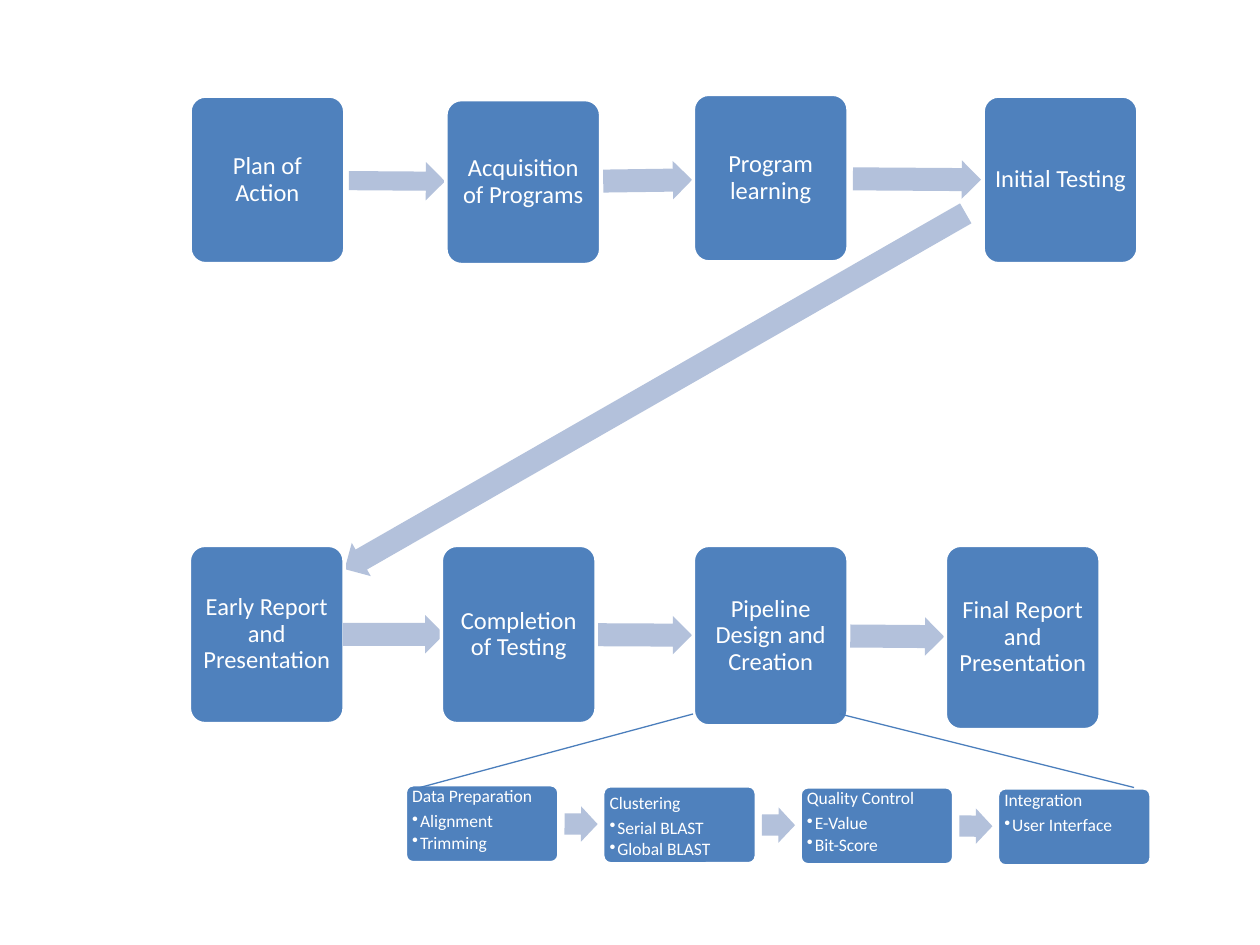
import pptx
import pptx.util
import pptx.dml.color
import pptx.enum.shapes
import pptx.enum.text
import lxml.etree

Pt = pptx.util.Pt
RGB = pptx.dml.color.RGBColor
SHAPE = pptx.enum.shapes.MSO_SHAPE
ANCHOR = pptx.enum.text.MSO_ANCHOR
ALIGN = pptx.enum.text.PP_ALIGN

theme = {
    "box": RGB(0x4F, 0x81, 0xBD),
    "arrow": RGB(0xB3, 0xC1, 0xDB),
    "line": RGB(0x4B, 0x7E, 0xBC),
    "white": RGB(0xFF, 0xFF, 0xFF),
    "font": "Calibri",
    "step_size": Pt(14),
    "detail_size": Pt(10),
}

deck = pptx.Presentation()
deck.slide_width, deck.slide_height = Pt(720), Pt(540)
page = deck.slides.add_slide(deck.slide_layouts[6])


def add_box(place, lines, size, frame_format, para_format):
    box = page.shapes.add_shape(SHAPE.ROUNDED_RECTANGLE, *map(Pt, place))
    box.shadow.inherit = False
    box.adjustments[0] = 0.1
    box.fill.solid()
    box.fill.fore_color.rgb = theme["box"]
    box.line.color.rgb = theme["white"]
    box.line.width = Pt(2)
    frame = box.text_frame
    for name, value in {"word_wrap": True, **frame_format}.items():
        setattr(frame, name, value)
    for index, line in enumerate(lines):
        para = frame.add_paragraph() if index else frame.paragraphs[0]
        spacing = {"line_spacing": 0.9, "level": min(index, 1)}
        for name, value in {**spacing, **para_format}.items():
            setattr(para, name, value)
        span = para.add_run()
        span.text = line
        for name, value in {"name": theme["font"], "size": size}.items():
            setattr(span.font, name, value)
        span.font.color.rgb = theme["white"]
    return box


def add_arrow(place, rotation, shaft=0.6):
    arrow = page.shapes.add_shape(SHAPE.RIGHT_ARROW, *map(Pt, place))
    arrow.shadow.inherit = False
    arrow.rotation = rotation
    arrow.adjustments[0], arrow.adjustments[1] = shaft, 0.5
    arrow.fill.solid()
    arrow.fill.fore_color.rgb = theme["arrow"]
    arrow.line.fill.background()


step_frame = {"vertical_anchor": ANCHOR.MIDDLE}
for side in ("left", "right", "top", "bottom"):
    step_frame["margin_" + side] = Pt(4)
step_para = {"alignment": ALIGN.CENTER}

steps = [
    ("Plan of Action", 108.6, 54.9, 95.8, (199.4, 92.5, 54.9), 0.4, 0.5),
    ("Acquisition of Programs", 254.8, 56.9, 94.3, (344.7, 92.2, 50.8), 359.2, 0.6),
    ("Program learning", 396.2, 53.9, 95.8, (487.4, 91.5, 73.2), 0.4, 0.6),
    ("Initial Testing", 561.8, 54.9, 95.8, (169.9, 212.6, 409), 150.2, 0.6),
    ("Early Report and Presentation", 108.2, 311.6, 101.9, (196, 351.5, 58), 0, 0.6),
    ("Completion of Testing", 252.2, 311.6, 101.9, (341.8, 351.9, 53.7), 0.3, 0.6),
    ("Pipeline Design and Creation", 396.2, 311.6, 103.2, (485.9, 352.7, 53.7), 0.4, 0.6),
    ("Final Report and Presentation", 540.2, 311.6, 105.4, None, 0, 0.6),
]
for label, left, top, height, arrow_place, rotation, shaft in steps:
    add_box((left, top, 88.5, height), [label], theme["step_size"], step_frame, step_para)
    if arrow_place:
        add_arrow((*arrow_place, 21.9), rotation, shaft)

details = [
    (["Data Preparation", "Alignment", "Trimming"], 0.3),
    (["Clustering", "Serial BLAST", "Global BLAST"], 3.5),
    (["Quality Control", "E-Value", "Bit-Score"], 0.3),
    (["Integration", "User Interface"], 0.8),
]
detail_left, detail_top, pitch, drop = 231.6, 448.4, 112.8, 0.6
for index, (lines, inset) in enumerate(details):
    left, top = detail_left + index * pitch, detail_top + index * drop
    detail_frame = {
        "vertical_anchor": ANCHOR.TOP,
        "margin_left": Pt(2.6),
        "margin_right": Pt(2.6),
        "margin_top": Pt(inset),
        "margin_bottom": Pt(0),
    }
    box = add_box((left, top, 87.8, 44.6), lines, theme["detail_size"],
                  detail_frame, {"alignment": ALIGN.LEFT, "space_after": Pt(1.5)})
    heading, *bullets = box.text_frame.paragraphs
    heading.space_after = Pt(3.5)
    for para in bullets:
        properties = para._p.get_or_add_pPr()
        properties.set("marL", str(Pt(4.5)))
        properties.set("indent", str(-Pt(4.5)))
        bullet = lxml.etree.SubElement(properties, pptx.oxml.ns.qn("a:buChar"))
        bullet.set("char", "•")
    if index < len(details) - 1:
        add_arrow((left + 91, top + 12.4, 18.9, 20.2), 0.3)

for start, end in [(396, 240), (480, 648)]:
    line = page.shapes.add_connector(
        pptx.enum.shapes.MSO_CONNECTOR.STRAIGHT, Pt(start), Pt(408), Pt(end), Pt(450))
    line.line.color.rgb = theme["line"]
    line.line.width = Pt(0.75)
    lxml.etree.SubElement(line._element.spPr, pptx.oxml.ns.qn("a:effectLst"))

deck.save("out.pptx")
